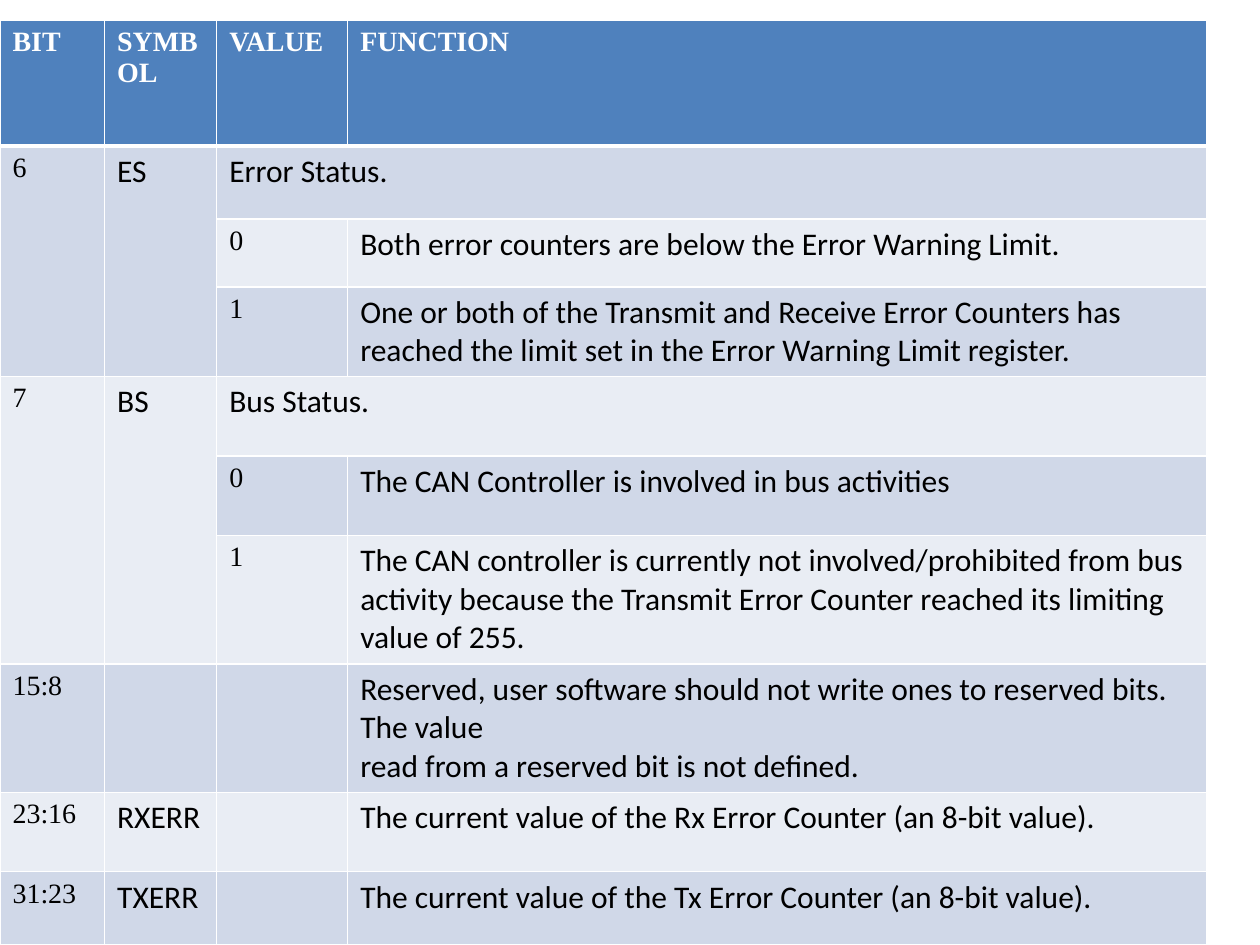
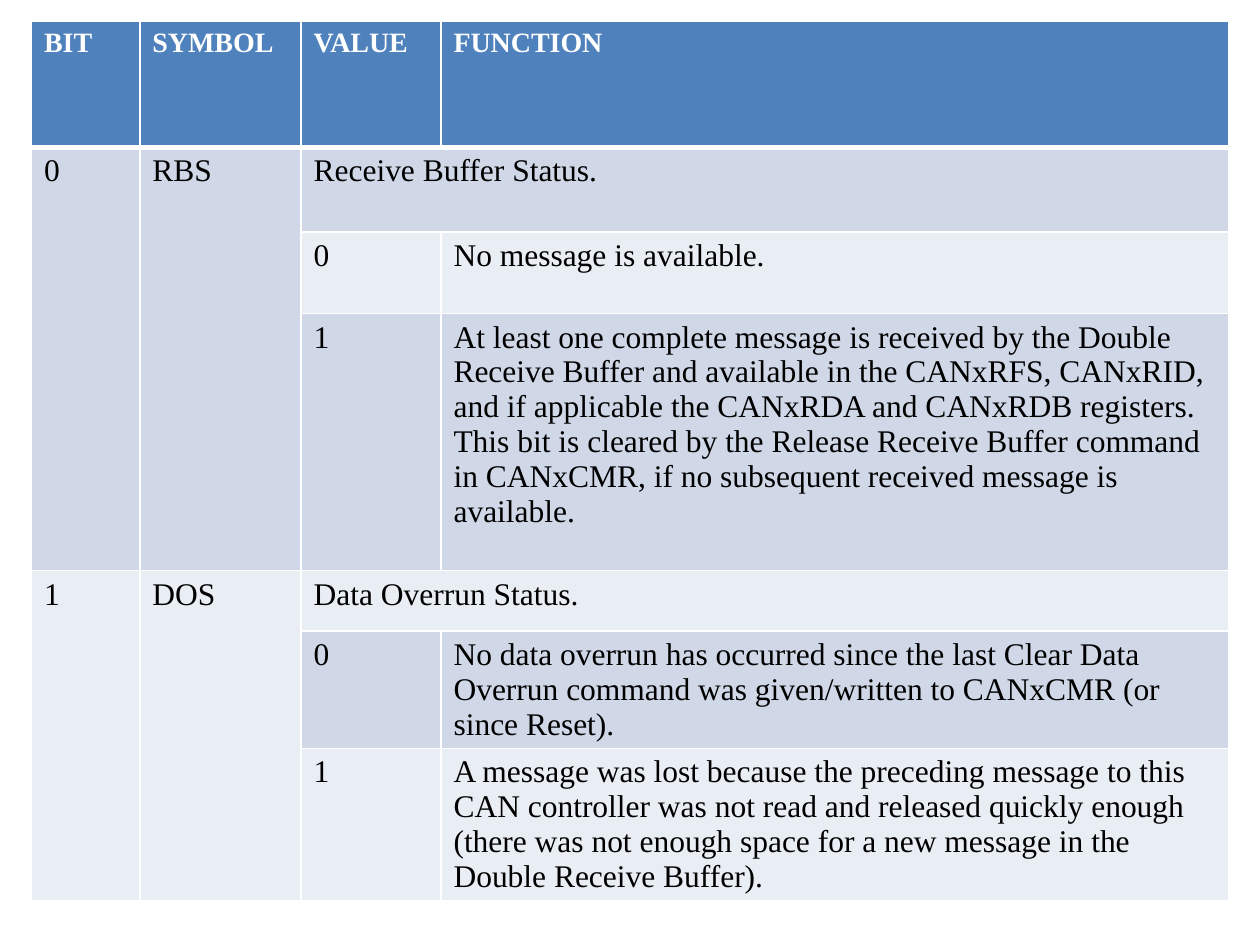
import itertools

import pptx
import pptx.dml.color
import pptx.oxml
import pptx.oxml.ns
import pptx.util

BLUE, DARK_BAND, LIGHT_BAND = "4F81BD", "D0D8E8", "E9EDF4"
WHITE, BLACK = "FFFFFF", "000000"

HEADINGS = ("BIT", "SYMBOL", "VALUE", "FUNCTION")
HEADER = {"name": "Times New Roman", "size": pptx.util.Pt(16), "bold": True}
FIGURES = {"name": "Times New Roman", "size": pptx.util.Pt(16), "bold": False}
SERIF = {"name": "Times New Roman", "size": pptx.util.Pt(18), "bold": False}
SANS = {"name": "Calibri", "size": pptx.util.Pt(18), "bold": False}

# Marks for a cell covered by the one above it or to its left.
UP, LEFT = "^", "<"

ERROR_AND_BUS_BITS = [
    ("6", "ES", "Error Status.", LEFT),
    (UP, UP, "0", "Both error counters are below the Error Warning Limit."),
    (UP, UP, "1", "One or both of the Transmit and Receive Error Counters has "
                  "reached the limit set in the Error Warning Limit register."),
    ("7", "BS", "Bus Status.", LEFT),
    (UP, UP, "0", "The CAN Controller is involved in bus activities"),
    (UP, UP, "1", "The CAN controller is currently not involved/prohibited from bus "
                  "activity because the Transmit Error Counter reached its limiting "
                  "value of 255."),
    ("15:8", "", "", "Reserved, user software should not write ones to reserved bits. "
                     "The value\nread from a reserved bit is not defined."),
    ("23:16", "RXERR", "", "The current value of the Rx Error Counter (an 8-bit value)."),
    ("31:23", "TXERR", "", "The current value of the Tx Error Counter (an 8-bit value)."),
]

BUFFER_BITS = [
    ("0", "RBS", "Receive Buffer Status.", LEFT),
    (UP, UP, "0", "No message is available."),
    (UP, UP, "1", "At least one complete message is received by the Double Receive "
                  "Buffer and available in the CANxRFS, CANxRID, and if applicable the "
                  "CANxRDA and CANxRDB registers. This bit is cleared by the Release "
                  "Receive Buffer command in CANxCMR, if no subsequent received "
                  "message is available."),
    ("1", "DOS", "Data Overrun Status.", LEFT),
    (UP, UP, "0", "No data overrun has occurred since the last Clear Data Overrun "
                  "command was given/written to CANxCMR (or since Reset)."),
    (UP, UP, "1", "A message was lost because the preceding message to this CAN "
                  "controller was not read and released quickly enough (there was not "
                  "enough space for a new message in the Double Receive Buffer)."),
]


def rgb(hex_color):
    return pptx.dml.color.RGBColor.from_string(hex_color)


def covered(cells, mark):
    """Count the marked cells that directly follow the first one."""
    return len(list(itertools.takewhile(lambda text: text == mark, cells[1:])))


class Deck:
    """Holds the presentation and current slide; lengths are percents of its size."""

    def __init__(self):
        self.prs = pptx.Presentation()
        self.prs.slide_width = pptx.util.Inches(10)
        self.prs.slide_height = pptx.util.Inches(7.5)

    def x(self, percent):
        return round(self.prs.slide_width * percent / 100)

    def y(self, percent):
        return round(self.prs.slide_height * percent / 100)

    def new_slide(self):
        self.s = self.prs.slides.add_slide(self.prs.slide_layouts[6])

    def borders(self, cell, top, bottom):
        tcPr = cell._tc.get_or_add_tcPr()
        for side, points in {"L": 1, "R": 1, "T": top, "B": bottom}.items():
            tcPr.append(pptx.oxml.parse_xml(
                f'<a:ln{side} {pptx.oxml.ns.nsdecls("a")} w="{int(pptx.util.Pt(points))}">'
                f'<a:solidFill><a:srgbClr val="{WHITE}"/></a:solidFill></a:ln{side}>'))

    def cell(self, cell, text, fill, color, fmt):
        cell.fill.solid()
        cell.fill.fore_color.rgb = rgb(fill)
        cell.text = text
        for p in cell.text_frame.paragraphs:
            for target in (p, *p.runs):
                for key, value in fmt.items():
                    setattr(target.font, key, value)
                target.font.color.rgb = rgb(color)

    def register_table(self, left, top, widths, heights, bits, figures, words):
        rows = [HEADINGS, *bits]
        tbl = self.s.shapes.add_table(
            len(rows), len(widths), self.x(left), self.y(top),
            self.x(sum(widths)), self.y(sum(heights))).table
        for column, width in zip(tbl.columns, widths):
            column.width = self.x(width)
        for row, height in zip(tbl.rows, heights):
            row.height = self.y(height)

        for i, row in enumerate(rows):
            band = DARK_BAND if i % 2 else LIGHT_BAND
            for j, text in enumerate(row):
                cell = tbl.cell(i, j)
                self.borders(cell, 3 if i == 1 else 1, 3 if i == 0 else 1)
                if text in (UP, LEFT):
                    continue
                if i == 0:
                    self.cell(cell, text, BLUE, WHITE, HEADER)
                    continue
                fmt = figures if text[:1].isdigit() else words
                self.cell(cell, text, band, BLACK, fmt)
                down = covered([r[j] for r in rows[i:]], UP)
                right = covered(row[j:], LEFT)
                if down or right:
                    cell.merge(tbl.cell(i + down, j + right))


def main():
    deck = Deck()

    deck.new_slide()
    deck.register_table(
        0, 2.13, [8.3, 8.9, 10.4, 68.2],
        [13.33, 7.73, 7.2, 9.47, 8.4, 8.4, 13.6, 13.6, 8.4, 7.73],
        ERROR_AND_BUS_BITS, FIGURES, SANS)

    deck.new_slide()
    deck.register_table(
        2.5, 2.27, [8.6, 12.8, 11.1, 62.5],
        [13.33, 8.93, 8.67, 27.2, 6.4, 12.4, 16.13],
        BUFFER_BITS, SERIF, SERIF)

    deck.prs.save("out.pptx")


if __name__ == "__main__":
    main()
